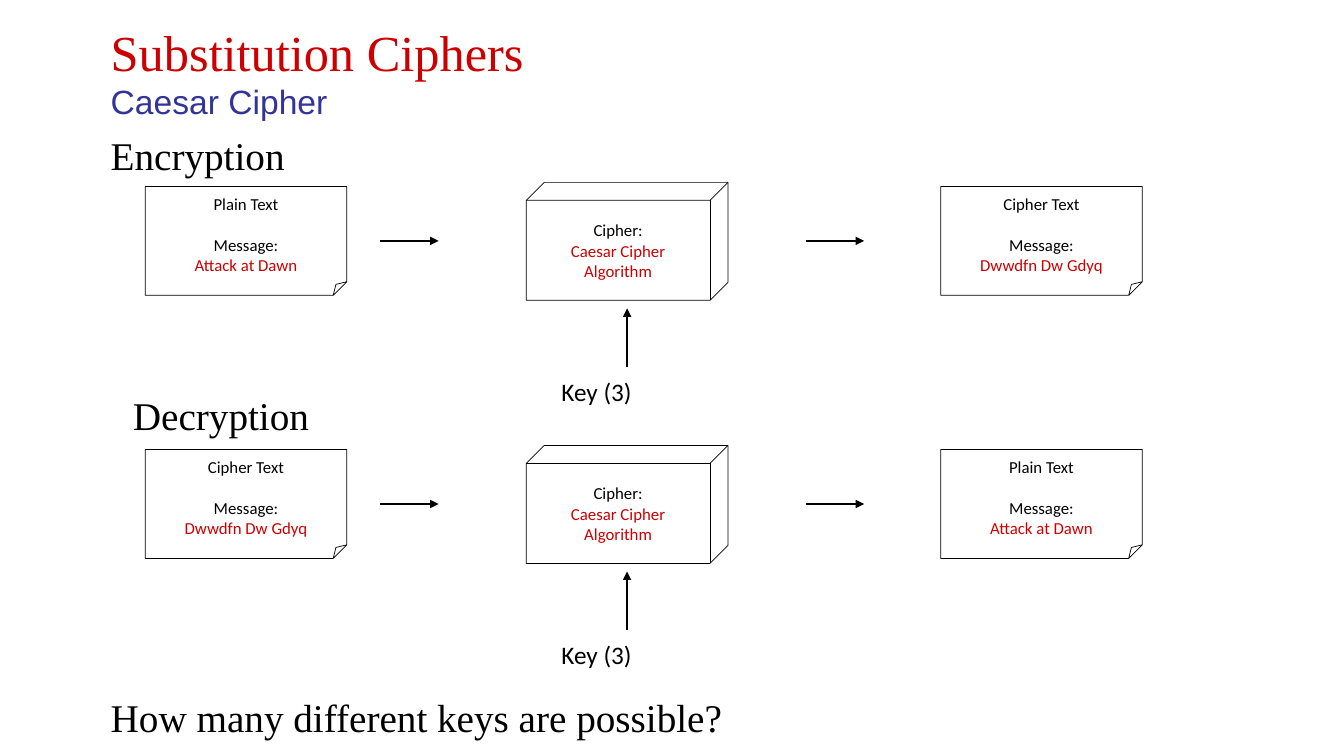
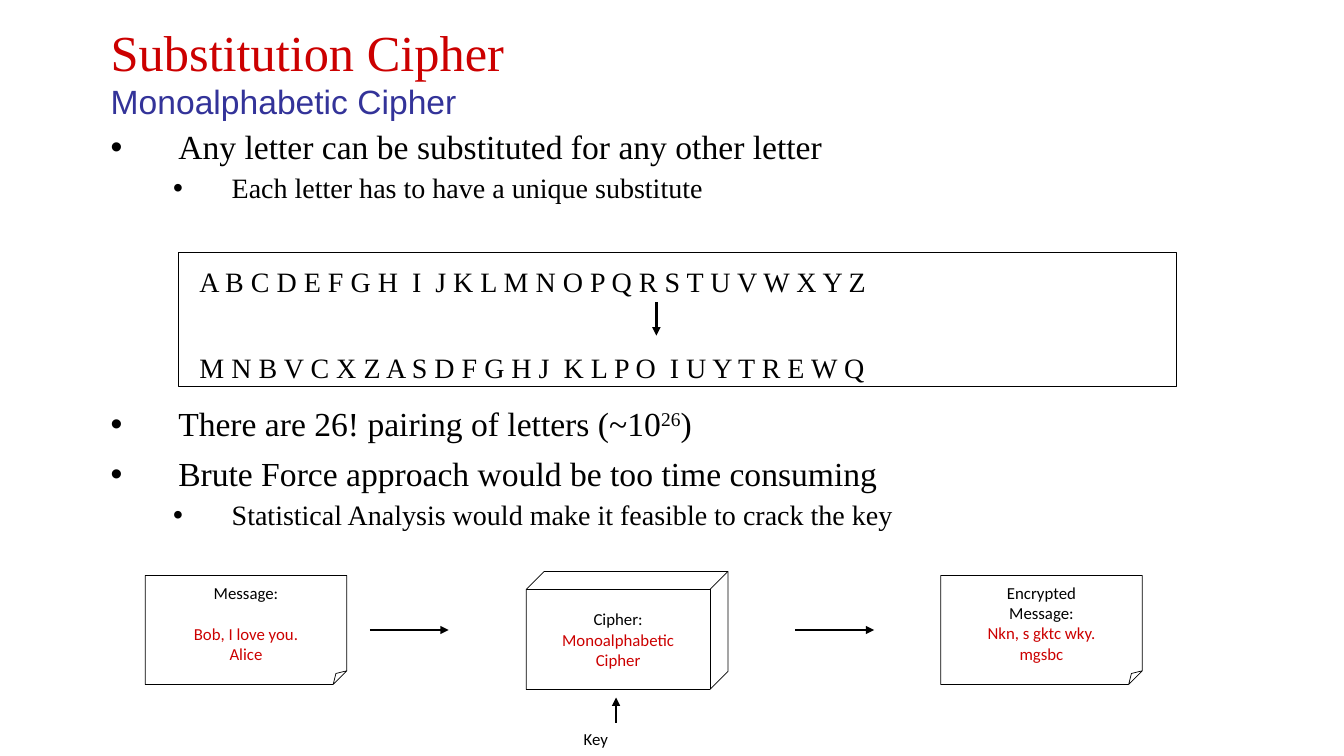
from lxml.etree import SubElement
from pptx import Presentation
from pptx.dml.color import RGBColor
from pptx.enum.shapes import MSO_CONNECTOR, MSO_SHAPE
from pptx.enum.text import MSO_ANCHOR, PP_ALIGN
from pptx.oxml.ns import qn
from pptx.util import Inches, Pt

BLACK, RED, BLUE = "000000", "CC0000", "333399"
SERIF, SANS, LABEL = "Times New Roman", "Arial", "Calibri"


def write(shape, text, size, font=SERIF, color=BLACK, align=PP_ALIGN.LEFT,
          before=0, spacing=None, bullet_indent=None):
    """Append a paragraph; text between ^ marks is superscript.

    bullet_indent is (text indent, hanging indent) in inches.
    """
    frame = shape.text_frame
    paragraph = frame.paragraphs[0]
    if paragraph.runs:
        paragraph = frame.add_paragraph()
    if bullet_indent:
        indent, hanging = bullet_indent
        properties = paragraph._p.get_or_add_pPr()
        properties.set("marL", str(Inches(indent)))
        properties.set("indent", str(-Inches(hanging)))
        SubElement(properties, qn("a:buFont")).set("typeface", SANS)
        SubElement(properties, qn("a:buChar")).set("char", "•")
    paragraph.alignment = align
    paragraph.space_before = Pt(before)
    if spacing:
        paragraph.line_spacing = spacing
    for index, part in enumerate(text.split("^")):
        run = paragraph.add_run()
        run.text = part
        run.font.size = Pt(size)
        run.font.name = font
        run.font.color.rgb = RGBColor.from_string(color)
        if index % 2:
            run.font._element.set("baseline", "30000")


def add_arrow(slide, start, end, width=1.5):
    points = [Inches(value) for value in (*start, *end)]
    arrow = slide.shapes.add_connector(MSO_CONNECTOR.STRAIGHT, *points)
    arrow.line.color.rgb = RGBColor.from_string(BLACK)
    arrow.line.width = Pt(width)
    SubElement(arrow.line._get_or_add_ln(), qn("a:tailEnd")).set("type", "triangle")
    SubElement(arrow._element.spPr, qn("a:effectLst"))


presentation = Presentation()
presentation.slide_width = Inches(13.33)
presentation.slide_height = Inches(7.5)
blank = presentation.slide_layouts[6]
caesar = presentation.slides.add_slide(blank)
monoalphabetic = presentation.slides.add_slide(blank)

# Titles
for slide, title, subtitle in [
    (caesar, "Substitution Ciphers", "Caesar Cipher"),
    (monoalphabetic, "Substitution Cipher", "Monoalphabetic Cipher"),
]:
    box = slide.shapes.add_textbox(Inches(1), Inches(0.08), Inches(11.33), Inches(1.25))
    box.text_frame.word_wrap = True
    box.text_frame.vertical_anchor = MSO_ANCHOR.MIDDLE
    write(box, title, 36, color=RED)
    write(box, subtitle, 24, font=SANS, color=BLUE)

# Bulleted text, with a gap left for the alphabet panel
body = monoalphabetic.shapes.add_textbox(Inches(1), Inches(1.25), Inches(11.33), Inches(4.2))
body.text_frame.word_wrap = True
for text, level, before in [
    ("Any letter can be substituted for any other letter", 0, 0),
    ("Each letter has to have a unique substitute", 1, 5),
    ("There are 26! pairing of letters (~10^26^)", 0, 145),
    ("Brute Force approach would be too time consuming", 0, 10),
    ("Statistical Analysis would make it feasible to crack the key", 1, 5),
]:
    write(body, text, (24, 20)[level], before=before, spacing=0.9,
          bullet_indent=((0.67, 0.67), (1.2, 0.58))[level])
    body.text_frame.paragraphs[-1].level = level

# Alphabet panel
panel = monoalphabetic.shapes.add_shape(
    MSO_SHAPE.RECTANGLE, Inches(1.77), Inches(2.5), Inches(9.9), Inches(1.33))
panel.shadow.inherit = False
panel.fill.background()
panel.line.color.rgb = RGBColor.from_string(BLACK)
panel.line.width = Pt(0.5)
add_arrow(monoalphabetic, (6.51, 3), (6.51, 3.33), width=2)

# Headings, alphabets and key labels
for slide, text, left, top, width, height, size, font in [
    (caesar, "Encryption", 1, 1.25, 11.33, 0.58, 28, SERIF),
    (caesar, "Decryption", 1.22, 3.83, 2.67, 0.58, 28, SERIF),
    (caesar, "How many different keys are possible?", 1, 6.83, 11.33, 0.58, 28, SERIF),
    (caesar, "Key (3)", 5.47, 3.68, 1.1, 0.4, 18, LABEL),
    (caesar, "Key (3)", 5.47, 6.29, 1.1, 0.4, 18, LABEL),
    (monoalphabetic, "Key", 5.69, 7.18, 0.6, 0.3, 12, LABEL),
    (monoalphabetic, "A B C D E F G H  I  J K L M N O P Q R S T U V W X Y Z",
     1.88, 2.57, 7.2, 0.44, 20, SERIF),
    (monoalphabetic, "M N B V C X Z A S D F G H J  K L P O  I U Y T R E W Q",
     1.88, 3.43, 7.2, 0.44, 20, SERIF),
]:
    box = slide.shapes.add_textbox(Inches(left), Inches(top), Inches(width), Inches(height))
    box.text_frame.word_wrap = True
    write(box, text, size, font=font)

# Cipher flows; each box has black lines, red lines and the line that follows a gap
plain_text = (["Plain Text", "Message:"], ["Attack at Dawn"], 1)
cipher_text = (["Cipher Text", "Message:"], ["Dwwdfn Dw Gdyq"], 1)
caesar_cipher = (["Cipher:"], ["Caesar Cipher", "Algorithm"], None)
letter = (["Message:"], ["Bob, I love you.", "Alice"], 1)
substitution = (["Cipher:"], ["Monoalphabetic", "Cipher"], None)
encrypted_letter = (["Encrypted", "Message:"], ["Nkn, s gktc wky.", "mgsbc"], None)

for slide, top, contents, arrow_length, key_x, key_length in [
    (caesar, 1.85, (plain_text, caesar_cipher, cipher_text), 0.58, 6.22, 0.58),
    (caesar, 4.46, (cipher_text, caesar_cipher, plain_text), 0.58, 6.22, 0.58),
    (monoalphabetic, 5.71, (letter, substitution, encrypted_letter), 0.78, 6.11, 0.25),
]:
    outlines = [
        (MSO_SHAPE.FOLDED_CORNER, 1.44, top, 1.08, 12500),
        (MSO_SHAPE.CUBE, 5.22, top - 0.04, 1.17, 15200),
        (MSO_SHAPE.FOLDED_CORNER, 9.33, top, 1.08, 12500),
    ]
    for (kind, left, box_top, height, adjustment), content in zip(outlines, contents):
        box = slide.shapes.add_shape(
            kind, Inches(left), Inches(box_top), Inches(2), Inches(height))
        # FOLDED_CORNER has no entry in box.adjustments, so the guide is set in XML
        guides = box._element.spPr.find(qn("a:prstGeom")).find(qn("a:avLst"))
        for guide in list(guides):
            guides.remove(guide)
        guide = SubElement(guides, qn("a:gd"))
        guide.set("name", "adj")
        guide.set("fmla", f"val {adjustment}")
        box.shadow.inherit = False
        box.fill.background()
        box.line.color.rgb = RGBColor.from_string(BLACK)
        box.line.width = Pt(0.5)
        box.text_frame.word_wrap = False
        box.text_frame.vertical_anchor = MSO_ANCHOR.MIDDLE
        black_lines, red_lines, gap_line = content
        for index, text in enumerate(black_lines + red_lines):
            write(box, text, 12, font=LABEL, align=PP_ALIGN.CENTER,
                  color=BLACK if index < len(black_lines) else RED,
                  before=14.6 if index == gap_line else 0)
    for middle in (4.06, 8.28):
        add_arrow(slide, (middle - arrow_length / 2, top + 0.54),
                  (middle + arrow_length / 2, top + 0.54))
    add_arrow(slide, (key_x, top + 1.21 + key_length), (key_x, top + 1.21))

presentation.save("out.pptx")
